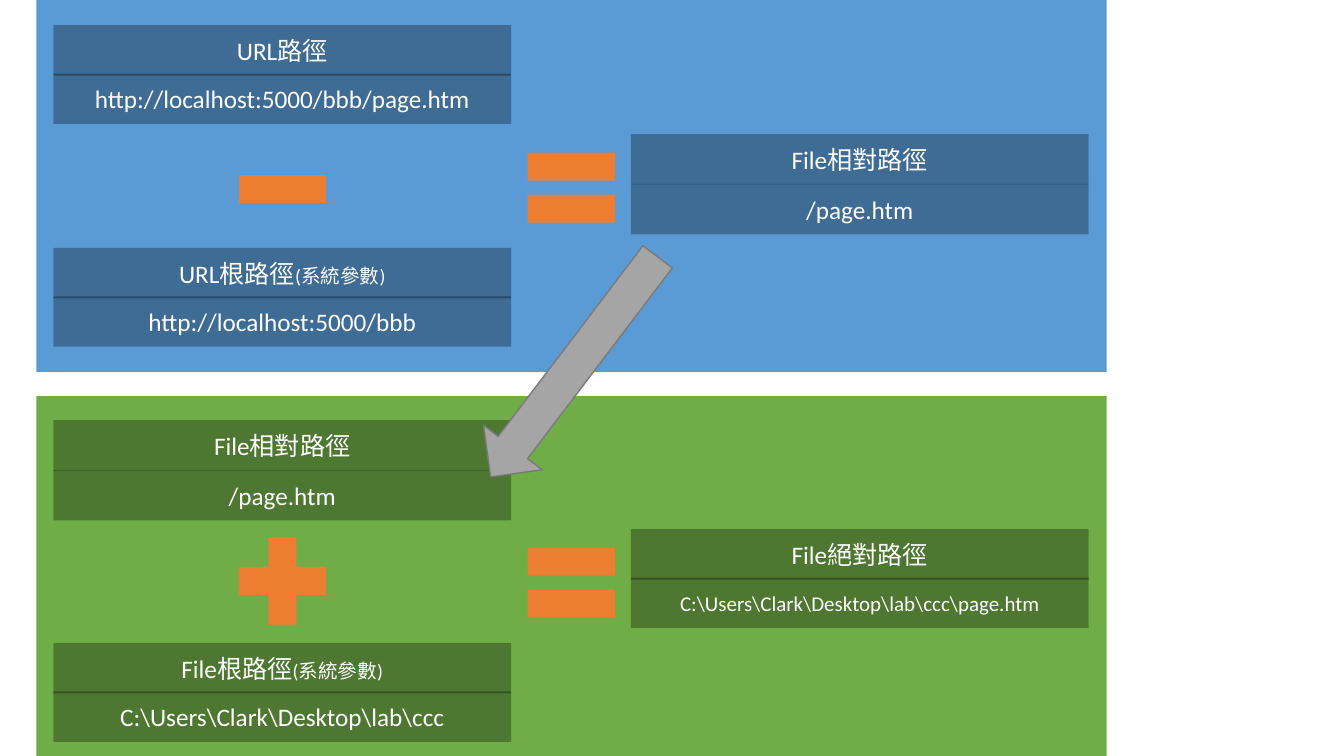
"""Build the slide on how a URL path becomes a file path."""
import pptx
import pptx.util
import pptx.dml.color
import pptx.enum.shapes
import pptx.enum.text
from pptx.oxml import parse_xml
from pptx.oxml.ns import nsdecls

Pt = pptx.util.Pt
RGB = pptx.dml.color.RGBColor
KIND = pptx.enum.shapes.MSO_SHAPE

BLUE = RGB(0x5B, 0x9B, 0xD5)
GREEN = RGB(0x70, 0xAD, 0x47)
ORANGE = RGB(0xED, 0x7D, 0x31)
GRAY = RGB(0xA5, 0xA5, 0xA5)
EDGE = RGB(0x7A, 0x7A, 0x7A)
BLACK = RGB(0, 0, 0)
WHITE = RGB(255, 255, 255)

NOTE = ("(系統參數)", 14)
REL = ([("File相對路徑", 18)], [("/page.htm", 18)], 35.6)
STEP = 34.6

PANELS = [
    {"top": 0, "base": 0, "color": BLUE, "sign": KIND.MATH_MINUS, "rise": 92.2,
     "cards": [
         ([("URL路徑", 18)], [("http://localhost:5000/bbb/page.htm", 18)], STEP),
         ([("URL根路徑", 18), NOTE], [("http://localhost:5000/bbb", 18)], STEP),
         REL]},
    {"top": 283, "base": 282.2, "color": GREEN, "sign": KIND.MATH_PLUS, "rise": 90.2,
     "cards": [
         REL,
         ([("File根路徑", 18), NOTE], [(r"C:\Users\Clark\Desktop\lab\ccc", 18)], STEP),
         ([("File絕對路徑", 18)],
          [(r"C:\Users\Clark\Desktop\lab\ccc\page.htm", 15)], STEP)]},
]
SPOTS = [(38.2, 18), (38.2, 177.1), (450.7, 95.8)]
WIDE, HIGH, SIGN = 326.9, 36, 85


def draw(slide, kind, left, top, wide, high, color):
    shape = slide.shapes.add_shape(kind, Pt(left), Pt(top), Pt(wide), Pt(high))
    shape.shadow.inherit = False
    shape.fill.solid()
    shape.fill.fore_color.rgb = color
    shape.line.fill.background()
    return shape


def label(slide, left, top, runs):
    box = draw(slide, KIND.RECTANGLE, left, top, WIDE, HIGH, BLACK)
    tint = box.fill._xPr.solidFill.srgbClr
    tint.append(parse_xml(f'<a:alpha {nsdecls("a")} val="30000"/>'))
    frame = box.text_frame
    frame.word_wrap = True
    frame.vertical_anchor = pptx.enum.text.MSO_ANCHOR.MIDDLE
    para = frame.paragraphs[0]
    para.alignment = pptx.enum.text.PP_ALIGN.CENTER
    for text, size in runs:
        run = para.add_run()
        run.text = text
        run.font.size = Pt(size)
        run.font.name = "Calibri"
        run.font.color.rgb = WHITE


def main():
    deck = pptx.Presentation()
    deck.slide_width, deck.slide_height = Pt(960), Pt(540)
    slide = deck.slides.add_slide(deck.slide_layouts[6])

    for panel in PANELS:
        draw(slide, KIND.RECTANGLE, 25.9, panel["top"], 764.6, 265.7, panel["color"])
        base = panel["base"]
        for (left, top), (head, body, step) in zip(SPOTS, panel["cards"]):
            label(slide, left, base + top, head)
            label(slide, left, base + top + step, body)
        draw(slide, panel["sign"], 159.2, base + panel["rise"], SIGN, SIGN, ORANGE)
        draw(slide, KIND.MATH_EQUAL, 365.6, base + 91.5, SIGN, SIGN, ORANGE)

    arrow = draw(slide, KIND.DOWN_ARROW, 383.8, 163.4, 52.6, 197.3, GRAY)
    arrow.rotation = 37.2
    arrow.line.color.rgb = EDGE
    arrow.line.width = Pt(1)
    deck.save("out.pptx")


if __name__ == "__main__":
    main()
